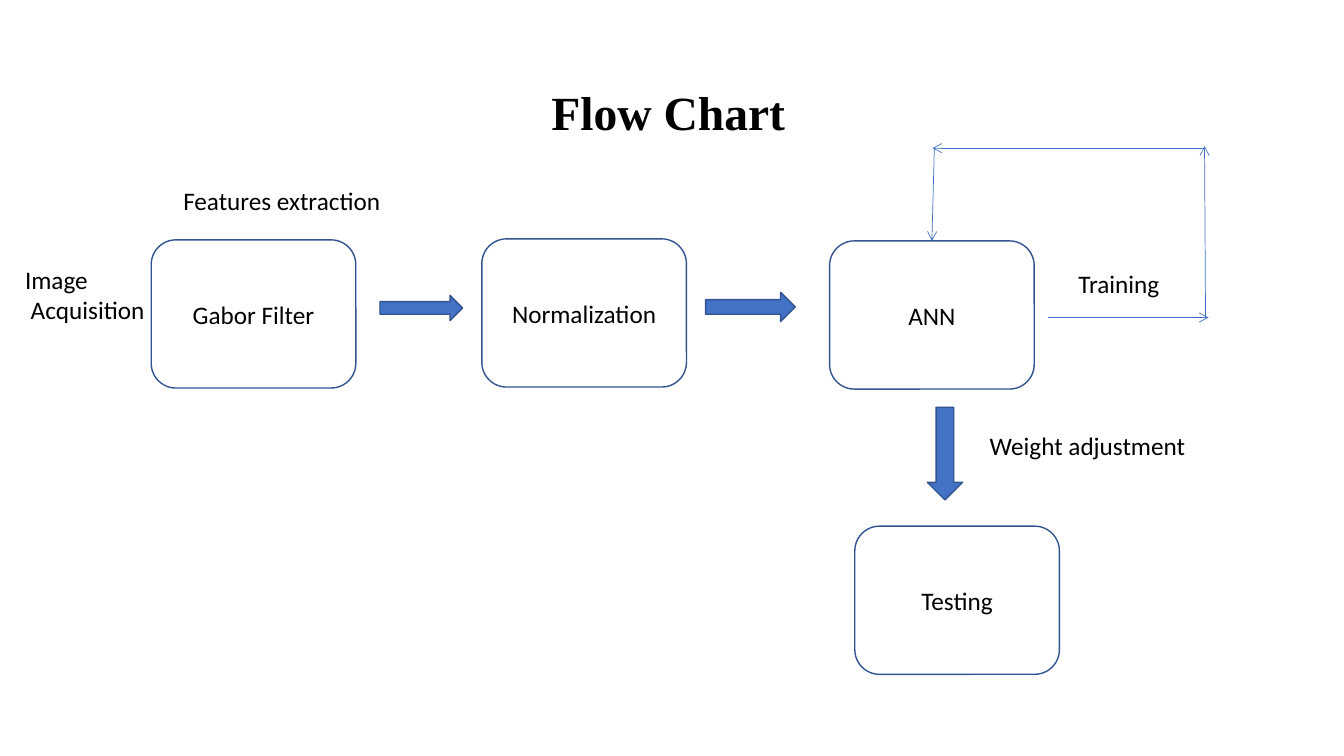
from lxml.etree import SubElement
from pptx import Presentation
from pptx.dml.color import RGBColor
from pptx.enum.shapes import MSO_CONNECTOR, MSO_SHAPE
from pptx.enum.text import MSO_ANCHOR, MSO_AUTO_SIZE, PP_ALIGN
from pptx.oxml.ns import qn
from pptx.util import Inches, Pt

COLUMNS, ROWS = 80, 45
BOX_SIZE = (12.18, 8.82)
BOXES = [
    ("Gabor Filter", 9, 14.28),
    ("Normalization", 28.68, 14.22),
    ("ANN", 49.38, 14.34),
    ("Testing", 50.88, 31.32),
]
BLOCK_ARROWS = [
    (MSO_SHAPE.RIGHT_ARROW, (22.62, 17.58, 4.92, 1.5)),
    (MSO_SHAPE.RIGHT_ARROW, (42, 17.4, 5.34, 1.74)),
    (MSO_SHAPE.DOWN_ARROW, (55.2, 24.24, 2.1, 5.52)),
]
LABELS = [
    (["Features extraction"], (10.32, 10.74, 13.08, 2.4)),
    (["Training"], (63.6, 15.66, 6.06, 2.4)),
    (["Weight adjustment"], (58.32, 25.32, 12.96, 2.4)),
    (["Image", " Acquisition"], (0.9, 15.42, 8.4, 4.26)),
]
TRAINING_LOOP = [
    ((62.4, 18.9), (71.94, 18.9)),
    ((71.76, 18.96), (71.7, 8.7)),
    ((71.64, 8.82), (55.5, 8.82)),
]


def rgb(value):
    return RGBColor.from_string(value)


class FlowSlide:
    """Draws on one slide; lengths are columns and rows of the grid."""

    BLUE, OUTLINE, BLACK = "4472C4", "325491", "000000"
    BODY = {"name": "Calibri", "size": Pt(18)}
    TITLE = {"name": "Times New Roman", "size": Pt(34), "bold": True}

    def __init__(self, prs):
        self.s = prs.slides.add_slide(prs.slide_layouts[6])
        self.col = prs.slide_width / COLUMNS
        self.row = prs.slide_height / ROWS

    def emu(self, *lengths):
        """Turn alternating column and row lengths into EMU."""
        return [round(n * (self.row if i % 2 else self.col))
                for i, n in enumerate(lengths)]

    def put_text(self, tf, lines, style, align):
        for i, line in enumerate(lines):
            p = tf.add_paragraph() if i else tf.paragraphs[0]
            p.alignment = align
            r = p.add_run()
            r.text = line
            r.font.color.rgb = rgb(self.BLACK)
            for name, value in style.items():
                setattr(r.font, name, value)

    def title(self, text, area):
        tf = self.s.shapes.add_textbox(*self.emu(*area)).text_frame
        tf.word_wrap = True
        tf.vertical_anchor = MSO_ANCHOR.MIDDLE
        self.put_text(tf, [text], self.TITLE, PP_ALIGN.CENTER)
        tf.paragraphs[0].line_spacing = 0.9

    def label(self, lines, area):
        tf = self.s.shapes.add_textbox(*self.emu(*area)).text_frame
        tf.word_wrap = False
        tf.auto_size = MSO_AUTO_SIZE.SHAPE_TO_FIT_TEXT
        self.put_text(tf, lines, self.BODY, PP_ALIGN.LEFT)

    def shape(self, kind, area):
        sp = self.s.shapes.add_shape(kind, *self.emu(*area))
        sp.shadow.inherit = False
        sp.line.color.rgb = rgb(self.OUTLINE)
        sp.line.width = Pt(1)
        return sp

    def box(self, text, left, top):
        sp = self.shape(MSO_SHAPE.ROUNDED_RECTANGLE, (left, top, *BOX_SIZE))
        sp.fill.background()
        sp.text_frame.vertical_anchor = MSO_ANCHOR.MIDDLE
        self.put_text(sp.text_frame, [text], self.BODY, PP_ALIGN.CENTER)
        return sp

    def block_arrow(self, kind, area):
        sp = self.shape(kind, area)
        sp.fill.solid()
        sp.fill.fore_color.rgb = rgb(self.BLUE)

    def line_arrow(self, start, end):
        line = self.s.shapes.add_connector(
            MSO_CONNECTOR.STRAIGHT, *self.emu(*start, *end))
        line.line.color.rgb = rgb(self.BLUE)
        line.line.width = Pt(0.5)
        properties = line._element.spPr
        SubElement(properties.find(qn("a:ln")), qn("a:tailEnd"), type="arrow")
        SubElement(properties, qn("a:effectLst"))
        return line


def main():
    prs = Presentation()
    prs.slide_width, prs.slide_height = Inches(13.33), Inches(7.5)
    flow = FlowSlide(prs)

    flow.title("Flow Chart", (5.28, 2.52, 69, 8.7))
    boxes = {text: flow.box(text, left, top) for text, left, top in BOXES}
    for kind, area in BLOCK_ARROWS:
        flow.block_arrow(kind, area)
    for lines, area in LABELS:
        flow.label(lines, area)
    for start, end in TRAINING_LOOP:
        flow.line_arrow(start, end)
    back_to_ann = flow.line_arrow((55.62, 8.76), (55.47, 14.34))
    back_to_ann.end_connect(boxes["ANN"], 0)

    prs.save("out.pptx")


if __name__ == "__main__":
    main()
